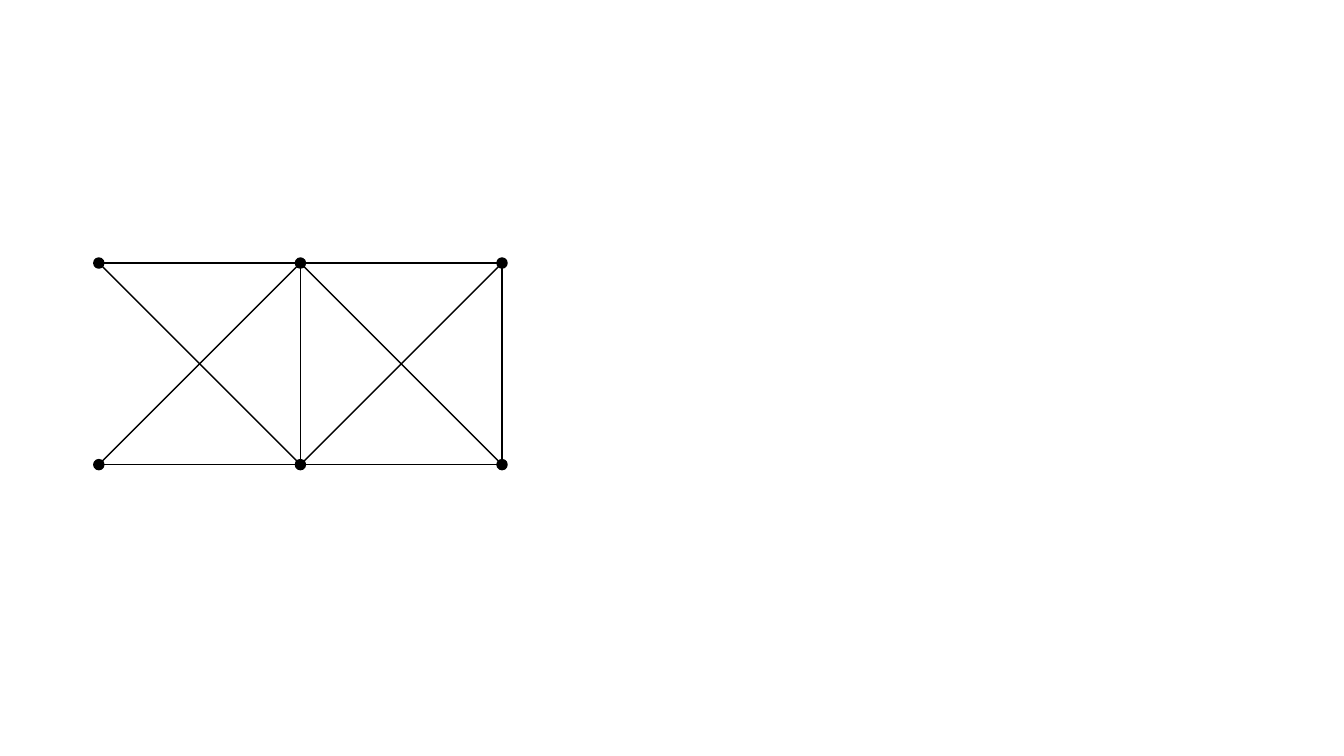
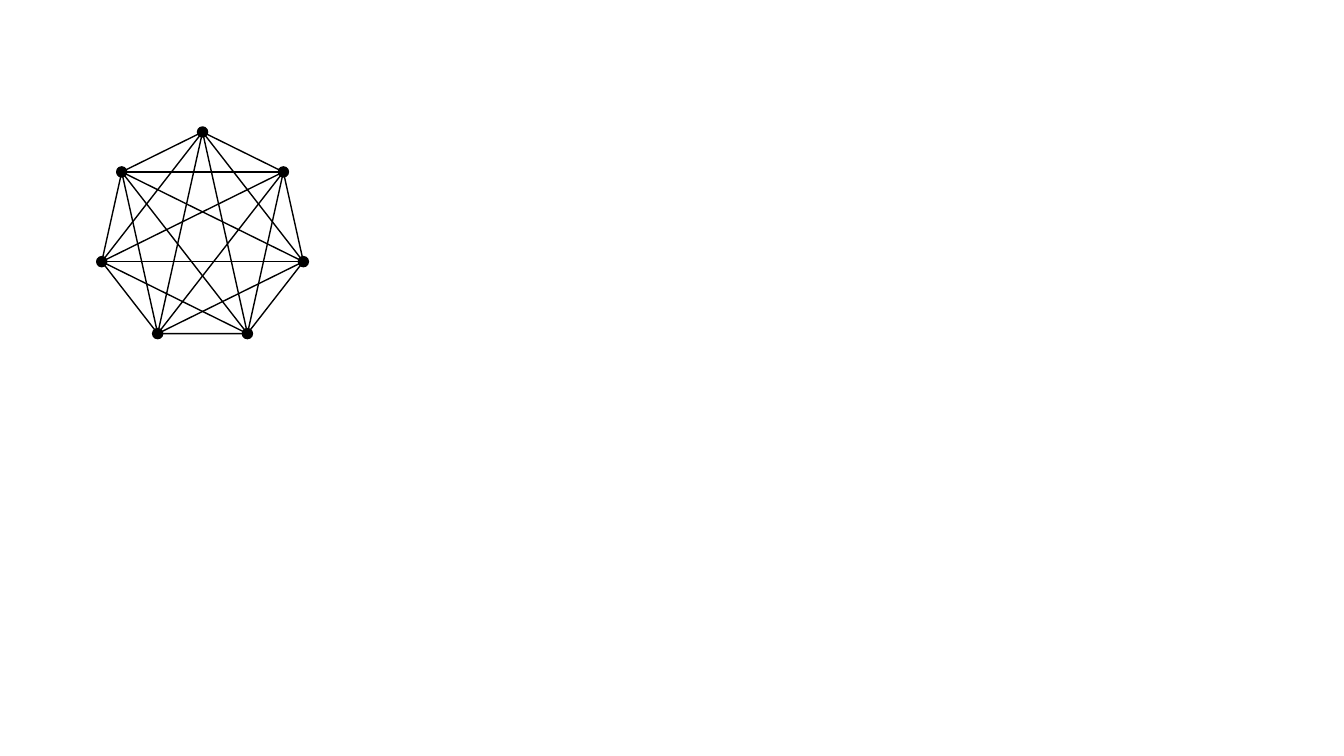
from itertools import combinations
from math import cos, hypot, pi, sin

from lxml import etree
from pptx import Presentation
from pptx.dml.color import RGBColor
from pptx.enum.shapes import MSO_CONNECTOR, MSO_SHAPE
from pptx.oxml.ns import qn
from pptx.util import Pt

STRAIGHT = MSO_CONNECTOR.STRAIGHT
RECTANGLE = MSO_SHAPE.RECTANGLE
OVAL = MSO_SHAPE.OVAL

BLACK = "000000"
LINE_WIDTH = 1
DOT_SIZE = 7.2
DOT_RADIUS = DOT_SIZE / 2
SIDE = 144
BLANK_LAYOUT = 6


def color(hex_code):
    return RGBColor.from_string(hex_code)


def style_line(line):
    line.color.rgb = color(BLACK)
    line.width = Pt(LINE_WIDTH)


def style_outline(shape):
    shape.shadow.inherit = False
    shape.fill.background()
    style_line(shape.line)


def add_edge(slide, start, end, inset=0):
    (x1, y1), (x2, y2) = start, end
    length = hypot(x2 - x1, y2 - y1)
    dx, dy = inset * (x2 - x1) / length, inset * (y2 - y1) / length
    edge = slide.shapes.add_connector(
        STRAIGHT, Pt(x1 + dx), Pt(y1 + dy), Pt(x2 - dx), Pt(y2 - dy))
    style_line(edge.line)
    etree.SubElement(edge._element.spPr, qn("a:effectLst"))


def add_open_path(slide, points):
    corners = [(Pt(x), Pt(y)) for x, y in points]
    builder = slide.shapes.build_freeform(*corners[0])
    builder.add_line_segments(corners[1:], close=False)
    style_outline(builder.convert_to_shape())


def add_square(slide, left, top):
    square = slide.shapes.add_shape(
        RECTANGLE, Pt(left), Pt(top), Pt(SIDE), Pt(SIDE))
    style_outline(square)


def add_dots(slide, points):
    for x, y in points:
        dot = slide.shapes.add_shape(
            OVAL, Pt(x - DOT_RADIUS), Pt(y - DOT_RADIUS), Pt(DOT_SIZE), Pt(DOT_SIZE))
        style_outline(dot)
        dot.fill.solid()
        dot.fill.fore_color.rgb = color(BLACK)


def polygon_vertices(count, left, top):
    angles = [2 * pi * index / count for index in range(count)]
    units = [(sin(angle), -cos(angle)) for angle in angles]
    columns, rows = zip(*units)
    width, height = max(columns) - min(columns), max(rows) - min(rows)
    return [(left + SIDE * (x - min(columns)) / width,
             top + SIDE * (y - min(rows)) / height) for x, y in units]


def build_grid_graph(slide):
    left, top = 70.6, 187.9
    upper = [(left + column * SIDE, top) for column in range(3)]
    lower = [(x, top + SIDE) for x, _ in upper]
    add_open_path(slide, [upper[0], upper[1], lower[1], lower[0]])
    add_square(slide, *upper[1])
    add_edge(slide, upper[0], lower[1], DOT_RADIUS)
    add_edge(slide, lower[0], upper[1], DOT_RADIUS)
    add_edge(slide, lower[1], upper[2])
    add_dots(slide, [dot for column in zip(upper, lower) for dot in column])
    add_edge(slide, upper[1], lower[2], DOT_RADIUS)


def build_complete_graph(slide):
    count = 7
    vertices = polygon_vertices(count, 72.7, 94.3)
    add_open_path(slide, vertices[-1:] + vertices[:-1])
    for first, second in combinations(range(count), 2):
        if second - first not in (1, count - 1):
            add_edge(slide, vertices[first], vertices[second])
    add_dots(slide, vertices)
    add_edge(slide, vertices[-1], vertices[-2], DOT_RADIUS)


def main():
    presentation = Presentation()
    presentation.slide_width = Pt(960)
    presentation.slide_height = Pt(540)
    for build_graph in (build_grid_graph, build_complete_graph):
        layout = presentation.slide_layouts[BLANK_LAYOUT]
        build_graph(presentation.slides.add_slide(layout))
    presentation.save("out.pptx")


if __name__ == "__main__":
    main()
